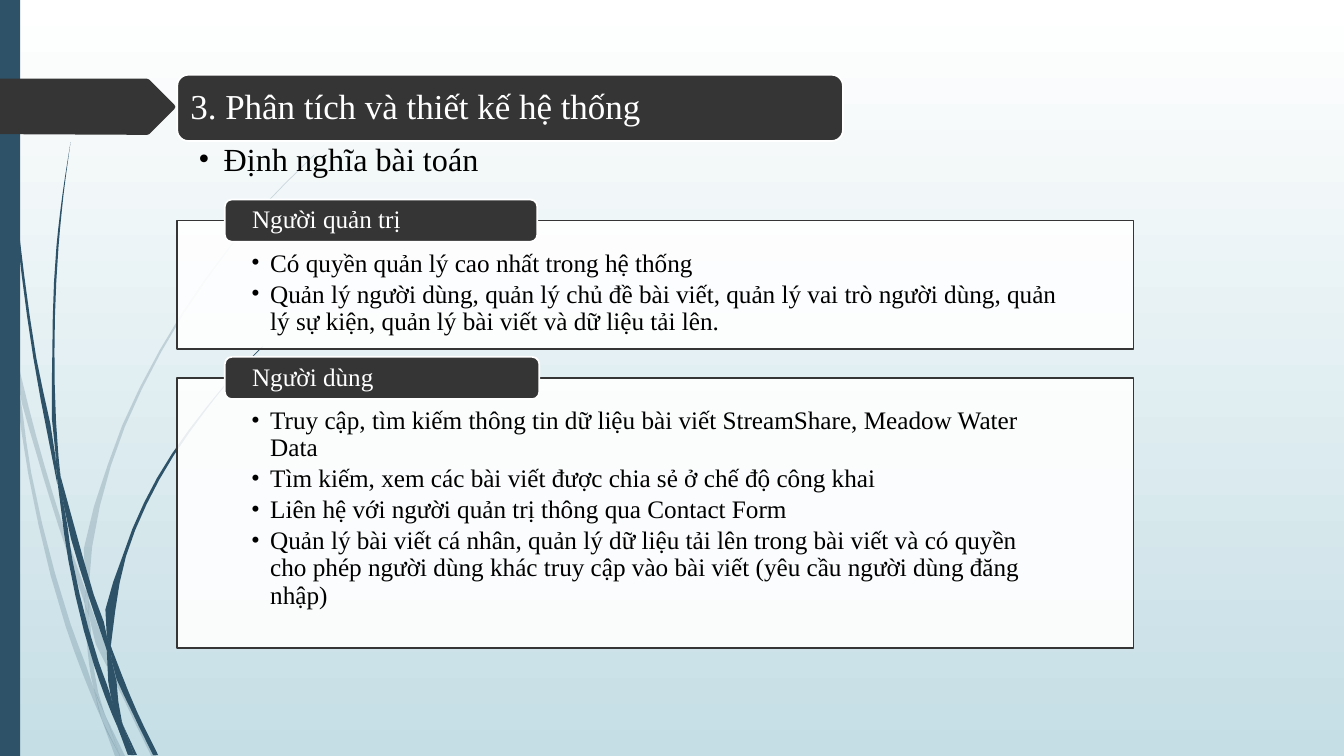
from dataclasses import dataclass

from lxml import etree
from pptx import Presentation
from pptx.dml.color import RGBColor
from pptx.enum.shapes import MSO_SHAPE
from pptx.enum.text import MSO_ANCHOR, PP_ALIGN
from pptx.oxml.ns import qn
from pptx.util import Pt

RECT, ROUND_RECT = MSO_SHAPE.RECTANGLE, MSO_SHAPE.ROUNDED_RECTANGLE
TOP, MIDDLE = MSO_ANCHOR.TOP, MSO_ANCHOR.MIDDLE
LEFT = PP_ALIGN.LEFT

WHITE = RGBColor(0xFF, 0xFF, 0xFF)
BLACK = RGBColor(0x00, 0x00, 0x00)
DARK = RGBColor(0x35, 0x35, 0x35)
BLUE = RGBColor(0x2E, 0x53, 0x69)
PALE_BLUE = RGBColor(0xC5, 0xDE, 0xE5)
FONT = "Times New Roman"
PANEL_LEFT, PANEL_WIDTH = 126.4, 683.3
TAG_LEFT, TAG_HEIGHT, TAG_RISE = 160.6, 30.2, 15
CURVE_STEPS = 3

Point = tuple[float, float]
Blade = tuple[list[Point], list[Point]]


@dataclass
class Panel:
    title: str
    top: float
    height: float
    tag_width: float
    items: list[str]


@dataclass
class TextStyle:
    size: float
    color: RGBColor
    insets: tuple[float, float, float, float]
    anchor: MSO_ANCHOR = TOP
    bullet_indent: float = 0
    space_after: float = 0


HEADING = TextStyle(25, WHITE, (7.2, 7.2, 7.2, 7.2), MIDDLE)
SUBTITLE = TextStyle(23, BLACK, (15.1, 2.2, 13, 2.2), TOP, 18, 4.6)
TAG = TextStyle(18, WHITE, (18, 0, 18, 0), MIDDLE)
BODY = TextStyle(18, BLACK, (53, 21.3, 53, 10), TOP, 13.6, 2.7)

# Left and right edge of each blade, from tip to foot
FADED_BLADES: list[Blade] = [
    ([(0, 215.3), (7.2, 247.7), (7.9, 252)], [(0, 203), (6.5, 231.8), (7.9, 252)]),
    ([(10.1, 248.4), (12.2, 270.7), (25.9, 323.6), (41.8, 375.8), (60.5, 431.3)],
     [(10.1, 248.4), (26, 312), (44.6, 374.4), (61.2, 421.9)]),
    ([(63.4, 429.1), (63.4, 439.2), (88.6, 499.7), (108, 540)],
     [(63.4, 429.1), (66.2, 437), (91.4, 498.2), (111.6, 540)]),
    ([(75.6, 511.9), (85.7, 540)], [(75.6, 511.9), (89.3, 540)]),
    ([(7.9, 252), (20.2, 338.4), (46.8, 447.1), (66.2, 499), (72.7, 514.1)],
     [(7.9, 252), (12.2, 270.7), (22.3, 337.7), (50.4, 445.7), (67, 491.8), (72.7, 514.1)]),
    ([(60.5, 431.3), (62.6, 465.1), (67, 491.8), (75.6, 511.9)],
     [(60.5, 431.3), (63.4, 439.2), (65.5, 465.1), (74.2, 508.3), (75.6, 511.9)]),
    ([(224.6, 110.2), (193, 141.8), (164.2, 175.7), (113.8, 250.6), (77, 331.9),
      (61.2, 421.9), (63.4, 429.1)],
     [(224.6, 110.9), (193, 142.6), (164.9, 176.4), (115.2, 251.3), (79.2, 332.6),
      (63.4, 420.5), (63.4, 429.1)]),
    ([(72.7, 514.1), (82.1, 540)], [(72.7, 514.1), (85.7, 540)]),
    ([(61.2, 421.9), (60.5, 431.3), (63.4, 439.2)],
     [(61.2, 421.9), (63.4, 429.1), (63.4, 439.2)]),
    ([(67, 491.8), (72.7, 514.1), (85.7, 540)], [(67, 491.8), (75.6, 511.9), (85.7, 540)]),
]
SOLID_BLADES: list[Blade] = [
    ([(2.2, 0), (2.9, 34.6), (5, 79.2), (12.2, 167.8), (23.8, 255.6), (41, 346.3)],
     [(2.9, 0), (3.6, 34.6), (5.8, 78.5), (13.7, 167), (25.9, 255.6), (39.6, 326.2),
      (41, 346.3)]),
    ([(43.2, 339.8), (46.1, 363.6), (63.4, 426.2), (76.3, 464.4)],
     [(43.2, 339.8), (67, 424.8), (76.3, 454.3), (76.3, 464.4)]),
    ([(79.2, 461.5), (79.9, 472.3), (95, 509.8), (109.4, 539.3)],
     [(79.2, 461.5), (81.4, 467.3), (97.9, 508.3), (113, 539.3)]),
    ([(41, 343.4), (49, 401), (67, 474.5), (79.9, 509.8), (84.2, 519.8)],
     [(41, 343.4), (46.1, 363.6), (51.8, 400.3), (70.6, 473), (79.2, 497.5), (84.2, 519.8)]),
    ([(50.4, 101.5), (44.6, 139), (40.3, 176.4), (37.4, 251.3), (39.6, 323.3), (43.2, 339.8)],
     [(50.4, 101.5), (45.4, 139), (41.8, 176.4), (38.9, 251.3), (41.8, 326.2), (43.2, 339.8)]),
    ([(87.8, 517.7), (95.8, 539.3)], [(87.8, 517.7), (97.9, 539.3)]),
    ([(39.6, 323.3), (41, 343.4), (46.1, 363.6)], [(39.6, 323.3), (43.2, 339.8), (46.1, 363.6)]),
    ([(187.2, 247.7), (166.3, 268.6), (146.9, 291.6), (112.3, 341.3), (87.8, 396.7),
      (76.3, 454.3), (79.2, 461.5)],
     [(187.9, 247.7), (166.3, 269.3), (147.6, 292.3), (113.8, 342.7), (90, 397.4),
      (79.9, 455.8), (79.2, 461.5)]),
    ([(84.2, 519.8), (91.4, 539.3)], [(84.2, 519.8), (94.3, 539.3)]),
    ([(76.3, 464.4), (79.2, 497.5), (87.8, 517.7)],
     [(76.3, 464.4), (79.9, 472.3), (87.1, 515.5), (87.8, 517.7)]),
    ([(76.3, 454.3), (76.3, 464.4), (79.9, 472.3)], [(76.3, 454.3), (79.2, 461.5), (79.9, 472.3)]),
    ([(79.2, 497.5), (84.2, 519.8), (93.6, 539.3)], [(79.2, 497.5), (87.8, 517.7), (95.8, 539.3)]),
]
ARROW = [(0, 56.2), (105.1, 56.2), (106.6, 56.9), (124.6, 74.9), (125.3, 76.3),
         (124.6, 77.8), (106.6, 95.8), (105.1, 96.3), (0, 95.8)]

PANELS = [
    Panel("Người quản trị", 157.5, 92, 223.2, [
        "Có quyền quản lý cao nhất trong hệ thống",
        "Quản lý người dùng, quản lý chủ đề bài viết, quản lý vai trò người dùng, "
        "quản lý sự kiện, quản lý bài viết và dữ liệu tải lên.",
    ]),
    Panel("Người dùng", 269.9, 193, 224.6, [
        "Truy cập, tìm kiếm thông tin dữ liệu bài viết StreamShare, Meadow Water Data",
        "Tìm kiếm, xem các bài viết được chia sẻ ở chế độ công khai",
        "Liên hệ với người quản trị thông qua Contact Form",
        "Quản lý bài viết cá nhân, quản lý dữ liệu tải lên trong bài viết và có quyền "
        "cho phép người dùng khác truy cập vào bài viết (yêu cầu người dùng đăng nhập)",
    ]),
]


def paint(sp, fill: RGBColor, line: RGBColor | None = None, opacity: int = 100) -> None:
    sp.shadow.inherit = False
    sp.fill.solid()
    sp.fill.fore_color.rgb = fill
    if opacity < 100:
        color = sp._element.spPr.find(qn("a:solidFill"))[0]
        etree.SubElement(color, qn("a:alpha")).set("val", str(opacity * 1000))
    if line is None:
        sp.line.fill.background()
    else:
        sp.line.color.rgb = line
        sp.line.width = Pt(1.25)


def add_box(s, kind, left: float, top: float, width: float, height: float,
            fill: RGBColor, line: RGBColor | None = None, opacity: int = 100):
    sp = s.shapes.add_shape(kind, Pt(left), Pt(top), Pt(width), Pt(height))
    paint(sp, fill, line, opacity)
    return sp


def write(sp, lines: list[str], style: TextStyle) -> None:
    tf = sp.text_frame
    tf.word_wrap = True
    tf.vertical_anchor = style.anchor
    tf.margin_left, tf.margin_top, tf.margin_right, tf.margin_bottom = map(Pt, style.insets)
    for i, line in enumerate(lines):
        p = tf.add_paragraph() if i else tf.paragraphs[0]
        p.alignment, p.line_spacing, p.space_after = LEFT, 0.9, Pt(style.space_after)
        if style.bullet_indent:
            pPr = p._p.get_or_add_pPr()
            pPr.set("marL", str(Pt(style.bullet_indent)))
            pPr.set("indent", str(-Pt(style.bullet_indent)))
            etree.SubElement(pPr, qn("a:buFont")).set("typeface", FONT)
            etree.SubElement(pPr, qn("a:buChar")).set("char", "•")
        r = p.add_run()
        r.text = line
        r.font.name, r.font.size, r.font.color.rgb = FONT, Pt(style.size), style.color


def smooth(points: list[Point]) -> list[Point]:
    """Hermite curve through the points, with tangents weighted by chord length."""
    z = [complex(*point) for point in points]
    chords = [b - a for a, b in zip(z, z[1:])]
    units = [c / abs(c) for c in chords]
    inner = [(u * abs(d) + v * abs(c)) / (abs(c) + abs(d))
             for c, d, u, v in zip(chords, chords[1:], units, units[1:])]
    tangents = [units[0], *inner, units[-1]]
    steps = CURVE_STEPS if inner else 1
    curve = []
    for a, c, m, n in zip(z, chords, tangents, tangents[1:]):
        for t in (i / steps for i in range(steps)):
            curve.append(a + c * t * t * (3 - 2 * t)
                         + abs(c) * t * (1 - t) * (m * (1 - t) - n * t))
    return [(q.real, q.imag) for q in [*curve, z[-1]]]


def add_outline(s, points: list[Point], fill: RGBColor, opacity: int = 100) -> None:
    start, *others = [(Pt(x), Pt(y)) for x, y in points]
    builder = s.shapes.build_freeform(*start)
    builder.add_line_segments(others, close=True)
    paint(builder.convert_to_shape(), fill, opacity=opacity)


def add_panel(s, panel: Panel) -> None:
    box = add_box(s, RECT, PANEL_LEFT, panel.top, PANEL_WIDTH, panel.height, WHITE, DARK, 90)
    write(box, panel.items, BODY)
    tag = add_box(s, ROUND_RECT, TAG_LEFT, panel.top - TAG_RISE, panel.tag_width, TAG_HEIGHT,
                  DARK, WHITE)
    write(tag, [panel.title], TAG)


def main() -> None:
    prs = Presentation()
    prs.slide_width, prs.slide_height = Pt(960), Pt(540)
    s = prs.slides.add_slide(prs.slide_layouts[6])
    # Background gradient
    fill = s.background.fill
    fill.gradient()
    fill.gradient_angle = 270
    for stop, color in zip(fill.gradient_stops, (WHITE, PALE_BLUE)):
        stop.color.rgb = color
    # Grass blades, side bar and arrow
    for blades, opacity in ((FADED_BLADES, 20), (SOLID_BLADES, 100)):
        for left, right in blades:
            add_outline(s, smooth(left) + smooth(right)[::-1], BLUE, opacity)
    add_box(s, RECT, 0, 0, 14.4, 540, BLUE)
    add_outline(s, ARROW, DARK)
    # Heading and subtitle
    heading = add_box(s, ROUND_RECT, 126.6, 53.4, 475.5, 47.3, DARK, WHITE)
    write(heading, ["3. Phân tích và thiết kế hệ thống"], HEADING)
    subtitle = s.shapes.add_textbox(Pt(126.6), Pt(100.1), Pt(475.5), Pt(41.8))
    write(subtitle, ["Định nghĩa bài toán"], SUBTITLE)
    # Role panels
    for panel in PANELS:
        add_panel(s, panel)
    prs.save("out.pptx")


if __name__ == "__main__":
    main()
